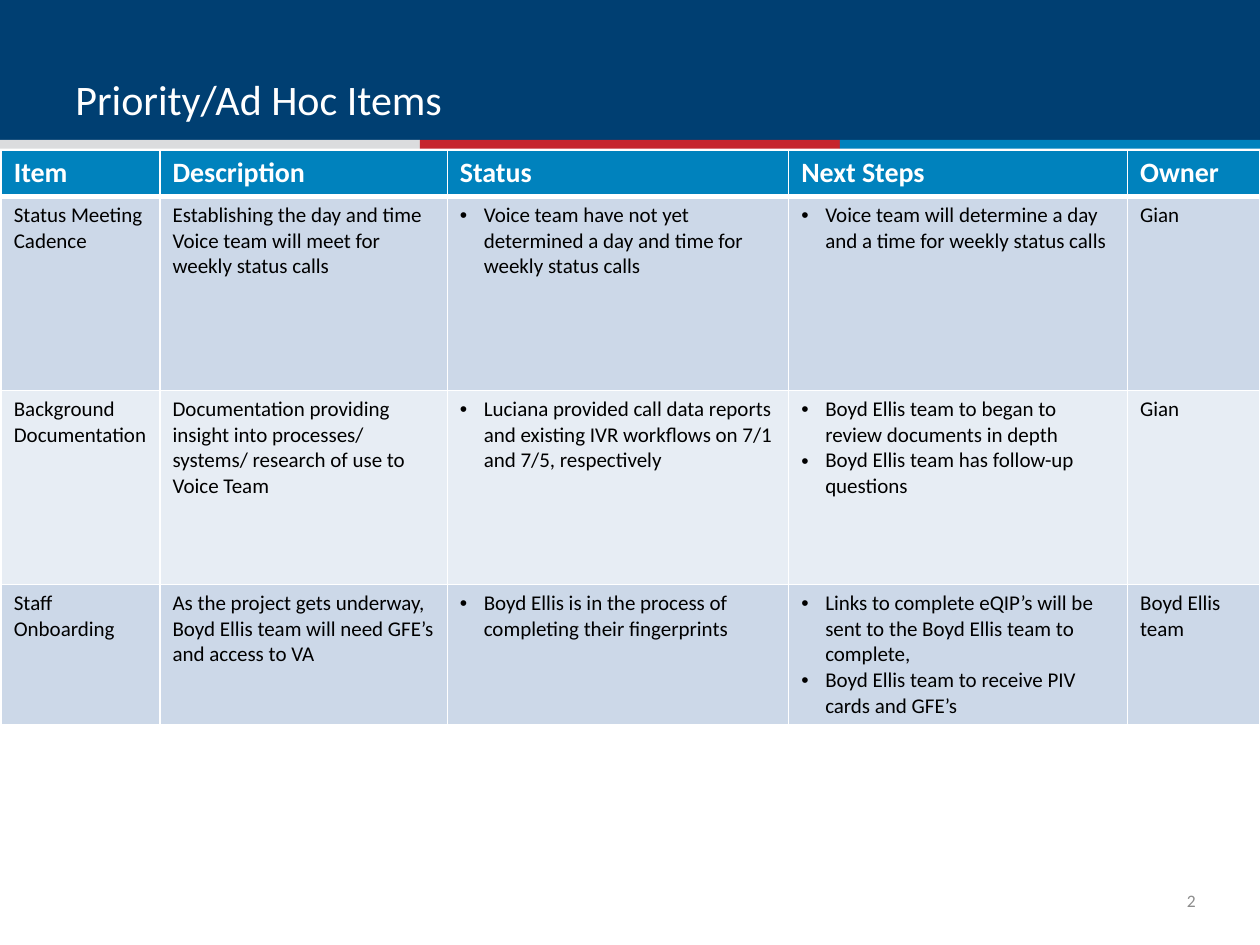
import dataclasses
import typing

import lxml.etree
import pptx
import pptx.dml.color
import pptx.enum.shapes
import pptx.enum.text
import pptx.oxml
import pptx.oxml.ns
import pptx.util

WIDE = pptx.util.Inches(10)
TALL = pptx.util.Inches(7.5)
FONT = "Calibri"
WHITE = "FFFFFF"
BLUE = "0082BD"
ALIGN = pptx.enum.text.PP_ALIGN
ANCHOR = pptx.enum.text.MSO_ANCHOR


@dataclasses.dataclass
class Box:
    """A place on the slide, in percent of its width and height."""
    left: float
    top: float
    width: float
    height: float

    def frame(self) -> tuple:
        return (across(self.left), down(self.top),
                across(self.width), down(self.height))


@dataclasses.dataclass
class Band:
    box: Box
    fill: str


@dataclasses.dataclass
class Label:
    text: str
    box: Box
    style: dict
    frame: dict
    align: typing.Any = ALIGN.LEFT


@dataclasses.dataclass
class Item:
    name: str
    about: str
    status: list
    steps: list
    owner: str
    height: float
    fill: str


def across(share: float) -> int:
    return round(WIDE * share / 100)


def down(share: float) -> int:
    return round(TALL * share / 100)


def color(code: str) -> pptx.dml.color.RGBColor:
    return pptx.dml.color.RGBColor.from_string(code)


def apply(target: typing.Any, values: dict) -> None:
    for key, value in values.items():
        setattr(target, key, value)


def style(size: float, code: str, bold: bool = False) -> dict:
    return {"name": FONT, "size": pptx.util.Pt(size), "bold": bold, "color": code}


def set_font(font: typing.Any, look: dict) -> None:
    apply(font, {key: value for key, value in look.items() if key != "color"})
    font.color.rgb = color(look["color"])


def draw_band(slide: typing.Any, band: Band) -> None:
    shape = slide.shapes.add_shape(
        pptx.enum.shapes.MSO_SHAPE.RECTANGLE, *band.box.frame())
    shape.shadow.inherit = False
    shape.fill.solid()
    shape.fill.fore_color.rgb = color(band.fill)
    shape.line.fill.background()


def draw_label(slide: typing.Any, label: Label) -> None:
    frame = slide.shapes.add_textbox(*label.box.frame()).text_frame
    apply(frame, {"word_wrap": True, **label.frame})
    para = frame.paragraphs[0]
    para.text = label.text
    para.alignment = label.align
    set_font(para.runs[0].font, label.style)


def add_bullet(para: typing.Any) -> None:
    props = para._p.get_or_add_pPr()
    indent = pptx.util.Inches(0.19)
    props.set("marL", str(indent))
    props.set("indent", str(-indent))
    for tag, key, value in (("a:buFont", "typeface", "Arial"),
                            ("a:buChar", "char", "•")):
        mark = lxml.etree.SubElement(props, pptx.oxml.ns.qn(tag))
        mark.set(key, value)


def add_edges(cell: typing.Any, base: float) -> None:
    props = cell._tc.get_or_add_tcPr()
    for side, width in (("L", 1), ("R", 1), ("T", 1), ("B", base)):
        props.append(pptx.oxml.parse_xml(
            f'<a:ln{side} {pptx.oxml.ns.nsdecls("a")} w="{pptx.util.Pt(width)}">'
            f'<a:solidFill><a:srgbClr val="{WHITE}"/></a:solidFill></a:ln{side}>'))


def fill_cell(cell: typing.Any, text: typing.Union[str, list],
              fill: str, look: dict, base: float = 1) -> None:
    """Lists become bullets, plain text becomes one paragraph."""
    add_edges(cell, base)
    cell.fill.solid()
    cell.fill.fore_color.rgb = color(fill)
    listed = isinstance(text, list)
    lines = text if listed else [text]
    frame = cell.text_frame
    for index, line in enumerate(lines):
        para = frame.add_paragraph() if index else frame.paragraphs[0]
        if listed:
            add_bullet(para)
        para.text = line
        set_font(para.runs[0].font, look)


def draw_table(slide: typing.Any, box: Box, cols: list,
               heads: list, items: list) -> None:
    table = slide.shapes.add_table(
        len(items) + 1, len(cols), *box.frame()).table
    for col, width in zip(table.columns, cols):
        col.width = across(width)
    heights = [HEAD] + [item.height for item in items]
    for row, height in zip(table.rows, heights):
        row.height = down(height)
    for col, head in enumerate(heads):
        fill_cell(table.cell(0, col), head, BLUE, style(16, WHITE, True), 3)
    for row, item in enumerate(items, 1):
        texts = (item.name, item.about, item.status, item.steps, item.owner)
        for col, text in enumerate(texts):
            fill_cell(table.cell(row, col), text, item.fill, style(12, "000000"))


# Header band with three equal stripes along its foot
THIRD = 33.33
BANDS = [Band(Box(0, 0, 100, 15.2), "003F72")] + [
    Band(Box(index * THIRD, 14.8, THIRD, 0.93), fill)
    for index, fill in enumerate(("DBDCDE", "C6262D", BLUE))]

# Title and page number
LABELS = [
    Label("Priority/Ad Hoc Items", Box(5, 1.87, 90, 11.87), style(24, WHITE),
          {"vertical_anchor": ANCHOR.BOTTOM}),
    Label("2", Box(92.2, 92.67, 2.7, 5.33), style(10, "8C8C8C"),
          {"vertical_anchor": ANCHOR.MIDDLE, "margin_left": 0, "margin_right": 0,
           "margin_top": 0, "margin_bottom": 0}, ALIGN.RIGHT),
]

# Table content
HEAD = 4.93
COLS = [12.6, 22.8, 27.1, 26.9, 10.5]
HEADS = ["Item", "Description", "Status", "Next Steps", "Owner"]
DARK, LIGHT = "CCD8E8", "E7EDF4"
ITEMS = [
    Item("Status Meeting Cadence",
         "Establishing the day and time Voice team will meet for weekly status calls",
         ["Voice team have not yet determined a day and time for weekly status calls"],
         ["Voice team will determine a day and a time for weekly status calls"],
         "Gian", 20.53, DARK),
    Item("Background Documentation",
         "Documentation providing insight into processes/ systems/ research of use to Voice Team",
         ["Luciana provided call data reports and existing IVR workflows on 7/1 and 7/5, respectively"],
         ["Boyd Ellis team to began to review documents in depth",
          "Boyd Ellis team has follow-up questions"],
         "Gian", 20.53, LIGHT),
    Item("Staff Onboarding",
         "As the project gets underway, Boyd Ellis team will need GFE’s and access to VA",
         ["Boyd Ellis is in the process of completing their fingerprints"],
         ["Links to complete eQIP’s will be sent to the Boyd Ellis team to complete,",
          "Boyd Ellis team to receive PIV cards and GFE’s"],
         "Boyd Ellis team", 14.8, DARK),
]


def main() -> None:
    deck = pptx.Presentation()
    apply(deck, {"slide_width": WIDE, "slide_height": TALL})
    slide = deck.slides.add_slide(deck.slide_layouts[6])
    for band in BANDS:
        draw_band(slide, band)
    for label in LABELS:
        draw_label(slide, label)
    draw_table(slide, Box(0.1, 15.87, 99.9, 60.8), COLS, HEADS, ITEMS)
    deck.save("out.pptx")


if __name__ == "__main__":
    main()
